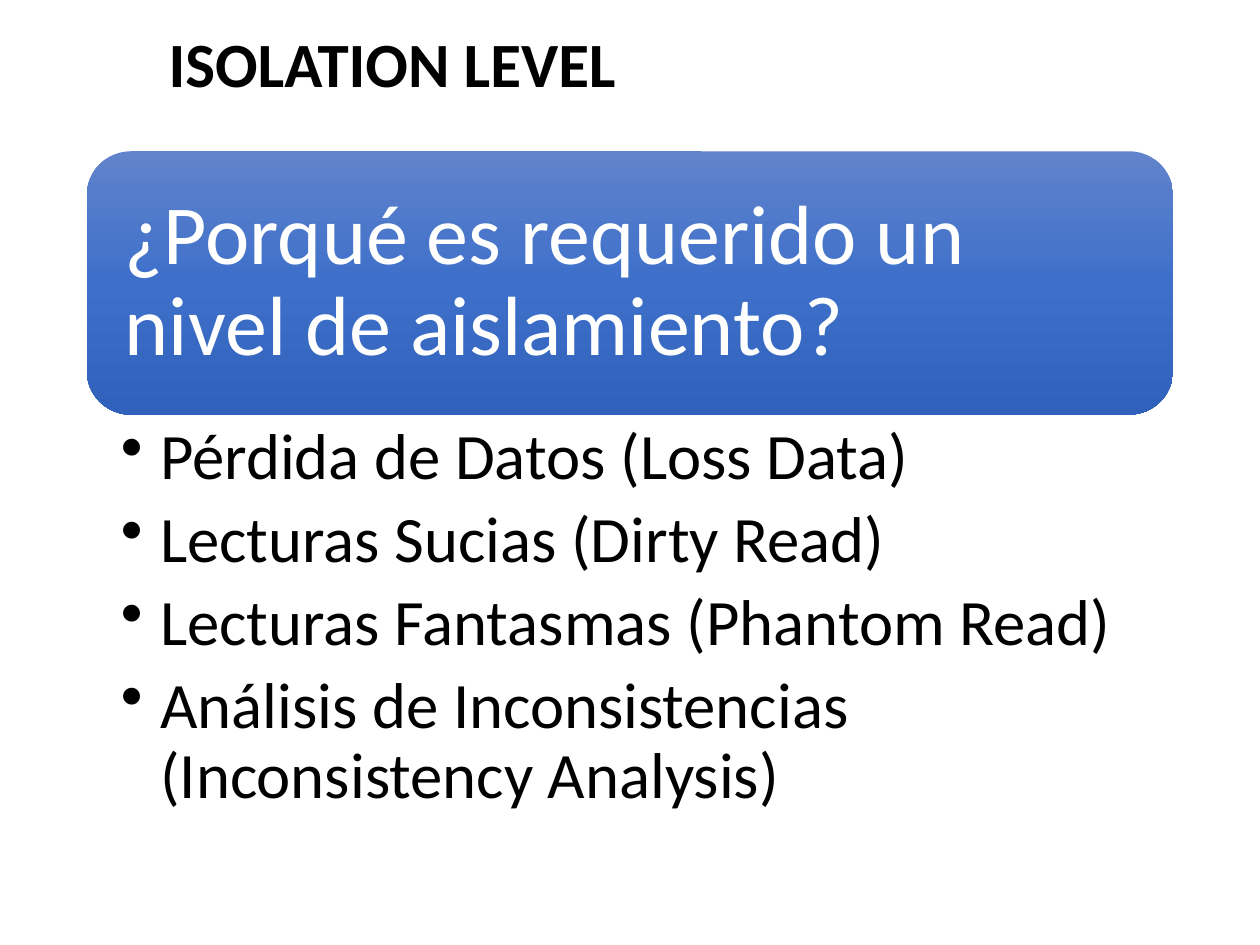
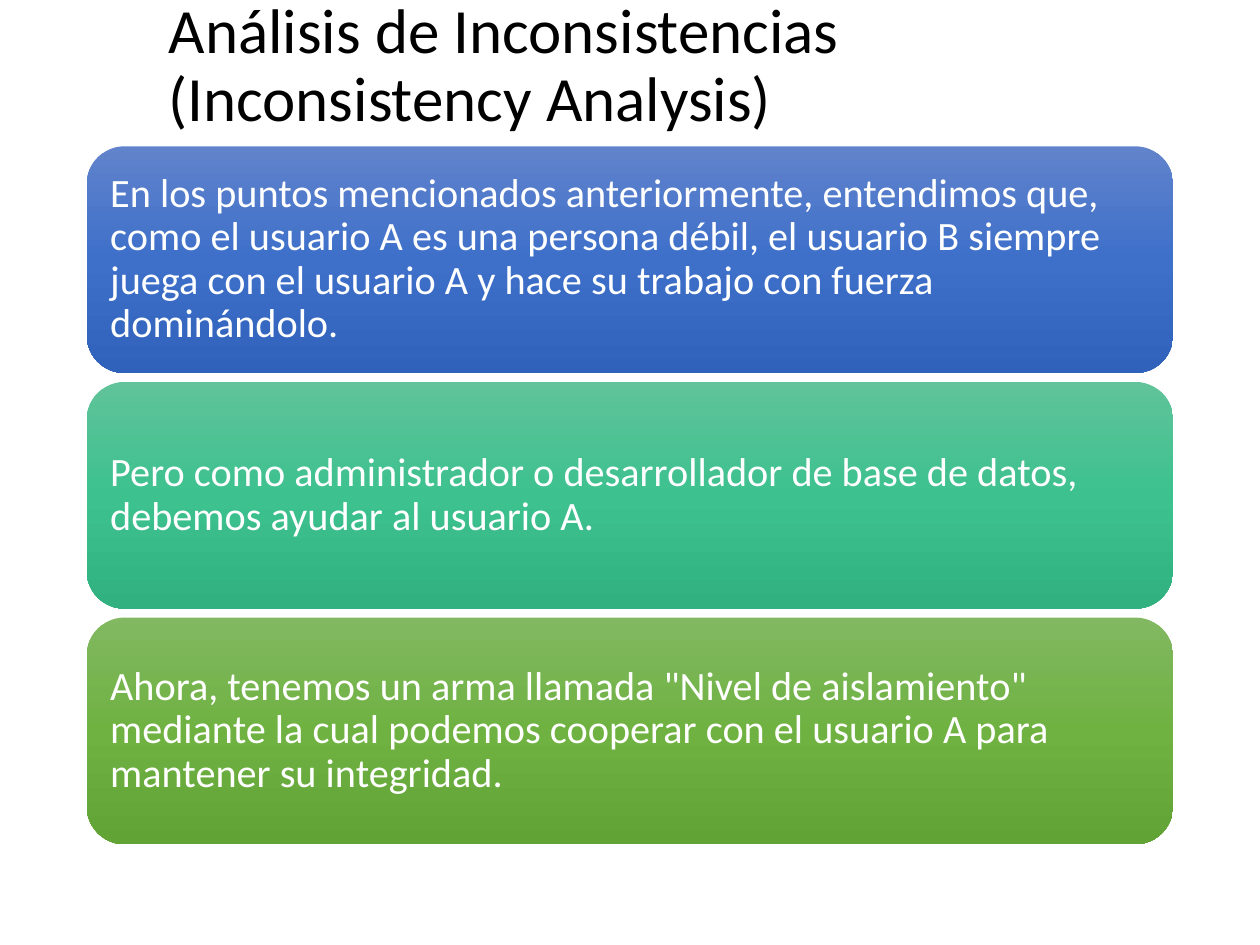
from copy import deepcopy
from dataclasses import dataclass

from pptx import Presentation
from pptx.dml.color import RGBColor
from pptx.enum.shapes import MSO_SHAPE
from pptx.enum.text import MSO_ANCHOR, PP_ALIGN
from pptx.oxml.ns import qn
from pptx.util import Cm, Pt

ROUNDED = MSO_SHAPE.ROUNDED_RECTANGLE
TOP, MIDDLE = MSO_ANCHOR.TOP, MSO_ANCHOR.MIDDLE
LEFT = PP_ALIGN.LEFT

# Content
ISOLATION = {
    "title": "ISOLATION LEVEL",
    "question": "¿Porqué es requerido un nivel de aislamiento?",
    "problems": [
        "Pérdida de Datos (Loss Data)",
        "Lecturas Sucias (Dirty Read)",
        "Lecturas Fantasmas (Phantom Read)",
        "Análisis de Inconsistencias (Inconsistency Analysis)",
    ],
}
INCONSISTENCY = {
    "title": "Análisis de Inconsistencias (Inconsistency Analysis)",
    "statements": [
        "En los puntos mencionados anteriormente, entendimos que, como el usuario A "
        "es una persona débil, el usuario B siempre juega con el usuario A y hace su "
        "trabajo con fuerza dominándolo.",
        "Pero como administrador o desarrollador de base de datos, debemos ayudar al "
        "usuario A.",
        'Ahora, tenemos un arma llamada "Nivel de aislamiento" mediante la cual '
        "podemos cooperar con el usuario A para mantener su integridad.",
    ],
}


@dataclass(frozen=True)
class Theme:
    font: str = "Calibri"
    dark: str = "000000"
    light: str = "FFFFFF"
    blue: tuple = ("6183CB", "3E70CA", "3062BB")
    teal: tuple = ("60C39A", "3DC18F", "31B080")
    green: tuple = ("81B861", "6FB242", "62A336")
    title_size: int = 36
    question_size: int = 48
    problem_size: int = 37
    statement_size: int = 23
    line_spacing: float = 0.9
    bullet_gap: float = 7.5


THEME = Theme()

# Shared layout, in centimetres
BODY_LEFT, BODY_WIDTH = 1.75, 21.9
TITLE_BOX = (3.15, 0.58, 19.81, 1.55)
QUESTION_TOP, QUESTION_HEIGHT = 3.05, 5.31
PROBLEMS_HEIGHT = 8.56
STATEMENT_TOP, STATEMENT_HEIGHT, STATEMENT_GAP = 2.95, 4.57, 0.18
BULLET_INDENT = 0.79


def write(shape, texts, size, color, anchor, margins, bold=False):
    """Fill a shape with left-aligned paragraphs in the theme font."""
    frame = shape.text_frame
    frame.word_wrap = True
    frame.vertical_anchor = anchor
    (frame.margin_left, frame.margin_top,
     frame.margin_right, frame.margin_bottom) = map(Cm, margins)
    frame.text = "\n".join(texts)
    for para in frame.paragraphs:
        para.alignment = LEFT
        para.line_spacing = THEME.line_spacing
        para.font.name = THEME.font
        para.font.size = Pt(size)
        para.font.bold = bold
        para.font.color.rgb = RGBColor.from_string(color)
    return frame.paragraphs


def add_bullet(para):
    properties = para._p.get_or_add_pPr()
    properties.set("marL", str(Cm(BULLET_INDENT)))
    properties.set("indent", str(-Cm(BULLET_INDENT)))
    bullet = properties.makeelement(qn("a:buChar"), {"char": "•"})
    properties.insert_element_before(bullet, "a:tabLst", "a:defRPr", "a:extLst")
    para.space_after = Pt(THEME.bullet_gap)


def fill_gradient(shape, colors):
    """Run evenly spaced colours from top to bottom."""
    fill = shape.fill
    fill.gradient()
    fill.gradient_angle = 270
    stop_list = shape._element.spPr.find(".//" + qn("a:gsLst"))
    while len(stop_list) < len(colors):
        stop_list.append(deepcopy(stop_list[0]))
    for index, (stop, color) in enumerate(zip(fill.gradient_stops, colors)):
        stop.position = index / (len(colors) - 1)
        stop.color.rgb = RGBColor.from_string(color)


def add_card(page, text, top, height, colors, size, margin):
    card = page.shapes.add_shape(
        ROUNDED, Cm(BODY_LEFT), Cm(top), Cm(BODY_WIDTH), Cm(height))
    card.shadow.inherit = False
    card.line.fill.background()
    fill_gradient(card, colors)
    write(card, [text], size, THEME.light, MIDDLE, [margin] * 4)


def add_page(deck, title, bold=False):
    page = deck.slides.add_slide(deck.slide_layouts[6])
    box = page.shapes.add_textbox(*map(Cm, TITLE_BOX))
    write(box, [title], THEME.title_size, THEME.dark, MIDDLE,
          (0.25, 0.13, 0.25, 0.13), bold)
    return page


def build_isolation(deck):
    page = add_page(deck, ISOLATION["title"], bold=True)
    add_card(page, ISOLATION["question"], QUESTION_TOP, QUESTION_HEIGHT,
             THEME.blue, THEME.question_size, 0.51)
    # Problems listed directly under the question
    box = page.shapes.add_textbox(
        Cm(BODY_LEFT), Cm(QUESTION_TOP + QUESTION_HEIGHT),
        Cm(BODY_WIDTH), Cm(PROBLEMS_HEIGHT))
    for para in write(box, ISOLATION["problems"], THEME.problem_size,
                      THEME.dark, TOP, (0.69, 0.18, 0.94, 0.18)):
        add_bullet(para)


def build_inconsistency(deck):
    page = add_page(deck, INCONSISTENCY["title"])
    # Equal cards stacked down the page
    palettes = (THEME.blue, THEME.teal, THEME.green)
    for row, (text, colors) in enumerate(zip(INCONSISTENCY["statements"], palettes)):
        top = STATEMENT_TOP + row * (STATEMENT_HEIGHT + STATEMENT_GAP)
        add_card(page, text, top, STATEMENT_HEIGHT, colors,
                 THEME.statement_size, 0.25)


def main():
    deck = Presentation()
    deck.slide_width, deck.slide_height = Cm(25.4), Cm(19.05)
    build_isolation(deck)
    build_inconsistency(deck)
    deck.save("out.pptx")


if __name__ == "__main__":
    main()
